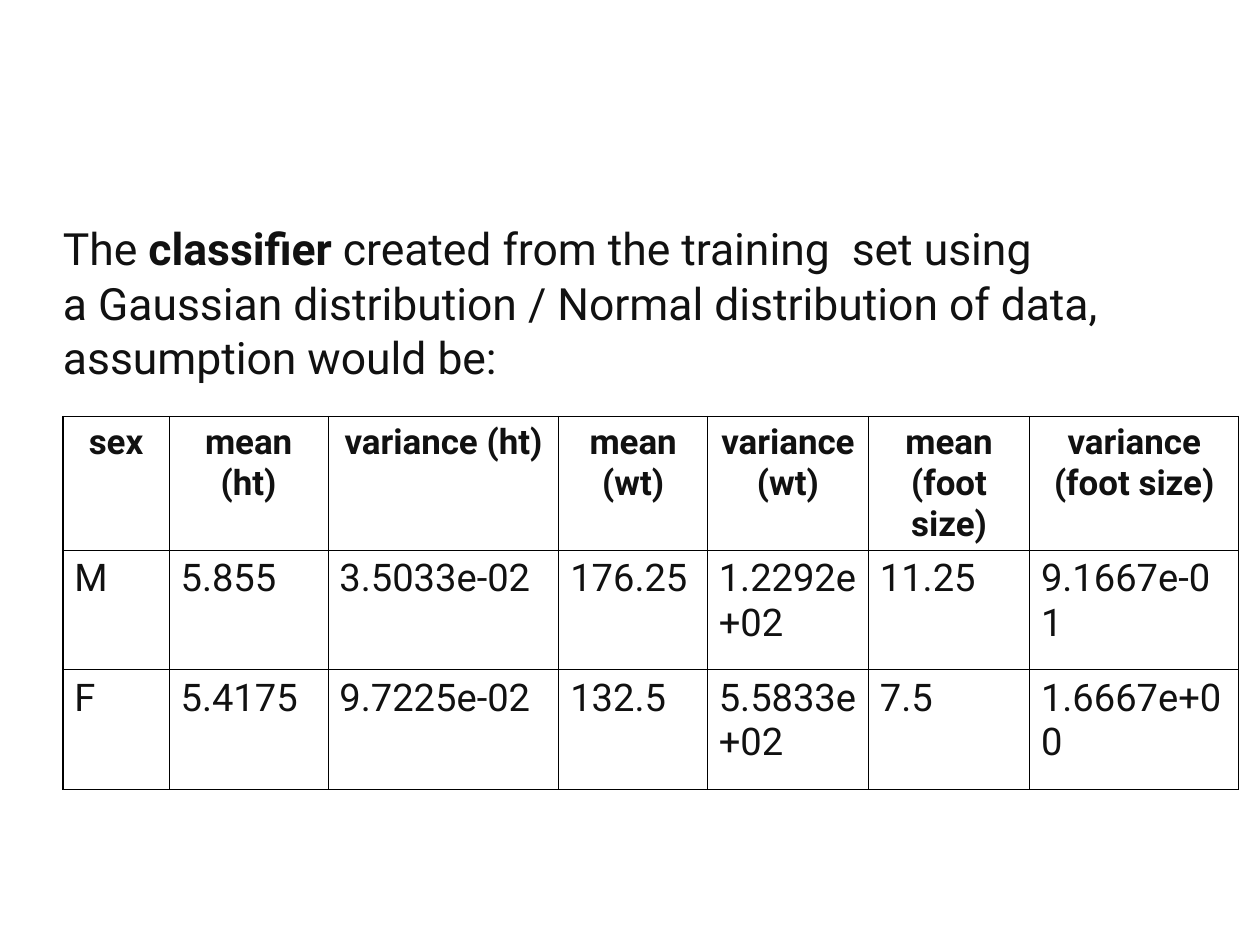
from dataclasses import dataclass

from lxml.etree import SubElement
from pptx import Presentation
from pptx.dml.color import RGBColor
from pptx.enum.text import MSO_ANCHOR as Anchor, MSO_AUTO_SIZE as AutoSize, PP_ALIGN as Align
from pptx.oxml.ns import qn
from pptx.slide import Slide
from pptx.table import _Cell as Cell
from pptx.text.text import _Run as Run
from pptx.util import Cm, Pt

COLORS = {"text": "111111", "border": "000000", "background": "FFFFFF"}
FONT = "Roboto"
LEFT = Cm(1.4)


@dataclass
class Feature:
    heading: str
    width: float
    male: str
    female: str


FEATURES = [
    Feature("sex", 2.36, "M", "F"),
    Feature("mean (ht)", 3.53, "5.855", "5.4175"),
    Feature("variance (ht)", 5.13, "3.5033e-02", "9.7225e-02"),
    Feature("mean (wt)", 3.3, "176.25", "132.5"),
    Feature("variance (wt)", 3.58, "1.2292e+02", "5.5833e+02"),
    Feature("mean (foot size)", 3.58, "11.25", "7.5"),
    Feature("variance (foot size)", 4.65, "9.1667e-01", "1.6667e+00"),
]
ROW_HEIGHTS = [2.95, 2.65, 2.65]

INTRO = [
    ["The ", "classifier", " created from the training  set using"],
    ["a Gaussian distribution / Normal distribution of data,"],
    ["assumption would be:"],
]
BOLD_WORD = "classifier"


def format_run(run: Run, size: float, bold: bool) -> None:
    run.font.name = FONT
    run.font.size = Pt(size)
    run.font.bold = bold
    run.font.color.rgb = RGBColor.from_string(COLORS["text"])


def add_intro(slide: Slide) -> None:
    intro = slide.shapes.title
    intro.left, intro.top, intro.width, intro.height = LEFT, Cm(4.9), Cm(25.2), Cm(4.2)
    frame = intro.text_frame
    frame.margin_left = frame.margin_right = frame.margin_top = frame.margin_bottom = 0
    frame.vertical_anchor = Anchor.TOP
    frame.auto_size = AutoSize.NONE
    frame.word_wrap = True
    for index, pieces in enumerate(INTRO):
        line = frame.add_paragraph() if index else frame.paragraphs[0]
        line.alignment = Align.LEFT
        line.line_spacing = 1.02
        for piece in pieces:
            run = line.add_run()
            run.text = piece
            format_run(run, 28, piece == BOLD_WORD)


def add_borders(cell: Cell) -> None:
    properties = cell._tc.get_or_add_tcPr()
    for position, side in enumerate(("lnL", "lnR", "lnT", "lnB")):
        border = SubElement(properties, qn(f"a:{side}"), w=str(Pt(0.75)))
        fill = SubElement(border, qn("a:solidFill"))
        SubElement(fill, qn("a:srgbClr"), val=COLORS["border"])
        properties.insert(position, border)


def fill_cell(cell: Cell, text: str, is_heading: bool) -> None:
    cell.fill.background()
    add_borders(cell)
    cell.text_frame.text = text
    entry = cell.text_frame.paragraphs[0]
    entry.alignment = Align.CENTER if is_heading else Align.LEFT
    format_run(entry.runs[0], 22 if is_heading else 24, is_heading)


def add_classifier_table(slide: Slide) -> None:
    width = Cm(sum(feature.width for feature in FEATURES))
    table = slide.shapes.add_table(
        len(ROW_HEIGHTS), len(FEATURES), LEFT, Cm(9.25), width, Cm(sum(ROW_HEIGHTS))
    ).table
    table.first_row = table.horz_banding = False
    for row, height in zip(table.rows, ROW_HEIGHTS):
        row.height = Cm(height)
    for column, feature in enumerate(FEATURES):
        table.columns[column].width = Cm(feature.width)
        for row, text in enumerate((feature.heading, feature.male, feature.female)):
            fill_cell(table.cell(row, column), text, row == 0)


def main() -> None:
    deck = Presentation()
    deck.slide_width, deck.slide_height = Cm(28), Cm(21)
    slide = deck.slides.add_slide(deck.slide_layouts.get_by_name("Title Only"))
    slide.background.fill.solid()
    slide.background.fill.fore_color.rgb = RGBColor.from_string(COLORS["background"])
    add_intro(slide)
    add_classifier_table(slide)
    deck.save("out.pptx")


if __name__ == "__main__":
    main()
